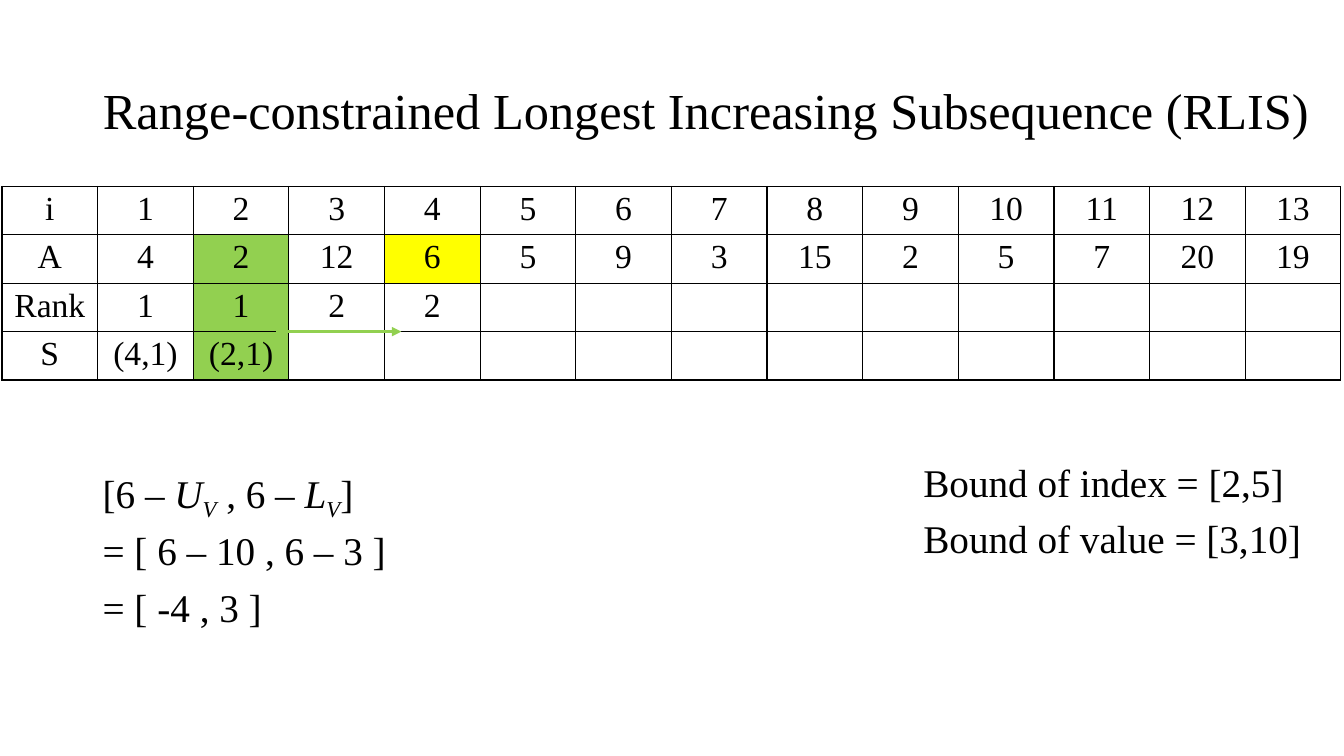
from pptx import Presentation
from pptx.util import Inches, Pt
from pptx.dml.color import RGBColor as RGB
from pptx.enum.text import PP_ALIGN as ALIGN, MSO_ANCHOR as ANCHOR
from pptx.enum.shapes import MSO_CONNECTOR as CONN
from pptx.oxml import parse_xml
from pptx.oxml.ns import nsdecls

BLACK, WHITE, GREEN, YELLOW = "000000", "FFFFFF", "92D050", "FFFF00"


def paint(color, hue):
    color.rgb = RGB.from_string(hue)


def style(par, size):
    for run in par.runs:
        run.font.name = "Times New Roman"
        run.font.size = Pt(size)
        paint(run.font.color, BLACK)


deck = Presentation()
deck.slide_width, deck.slide_height = Inches(13.33), Inches(7.5)
slide = deck.slides.add_slide(deck.slide_layouts[5])
shapes = slide.shapes

# Title
title = shapes.title
title.left, title.top = Inches(0.92), Inches(0.4)
title.width, title.height = Inches(12.31), Inches(1.45)
frame = title.text_frame
frame.text = "Range-constrained Longest Increasing Subsequence (RLIS)"
frame.vertical_anchor = ANCHOR.MIDDLE
head = frame.paragraphs[0]
head.alignment, head.line_spacing = ALIGN.LEFT, 0.9
style(head, 36)

# Notes under the table: runs marked "i" are italic, "sub" italic subscripts
notes = [
    ((0.92, 4.61, 7.5, 2.08), [
        [("[6 – ", ""), ("U", "i"), ("V", "sub"), (" , 6 – ", ""),
         ("L", "i"), ("V", "sub"), ("]", "")],
        [("= [ 6 – 10 , 6 – 3 ]", "")],
        [("= [ -4 , 3 ]", "")]]),
    ((9.06, 4.55, 4.17, 1.1), [
        [("Bound of index = [2,5]", "")],
        [("Bound of value = [3,10]", "")]]),
]
for place, lines in notes:
    frame = shapes.add_textbox(*map(Inches, place)).text_frame
    frame.word_wrap = True
    for n, line in enumerate(lines):
        par = frame.add_paragraph() if n else frame.paragraphs[0]
        par.line_spacing = 0.9
        if n:
            par.space_before = Pt(10)
        for text, mark in line:
            run = par.add_run()
            run.text = text
            if mark:
                run.font.italic = True
            if mark == "sub":
                run.font._element.set("baseline", "-25000")
        style(par, 28)

# Table of the sequence
rows = [
    ["i", *range(1, 14)],
    ["A", 4, 2, 12, 6, 5, 9, 3, 15, 2, 5, 7, 20, 19],
    ["Rank", 1, 1, 2, 2],
    ["S", "(4,1)", "(2,1)"],
]
fills = {(1, 2): GREEN, (2, 2): GREEN, (3, 2): GREEN, (1, 4): YELLOW}
count, high = len(rows[0]), 0.47
table = shapes.add_table(len(rows), count, Inches(0.02), Inches(1.85),
                         Inches(13.28), Inches(high * len(rows))).table
for r, row in enumerate(rows):
    table.rows[r].height = Inches(high)
    for c in range(count):
        cell = table.cell(r, c)
        cell.margin_top = cell.margin_bottom = Inches(0.04)
        cell.text = str(row[c]) if c < len(row) else ""
        par = cell.text_frame.paragraphs[0]
        par.alignment = ALIGN.CENTER
        par.font.size = Pt(24)
        style(par, 24)
        props = cell._tc.get_or_add_tcPr()
        for side in ("lnL", "lnR", "lnT", "lnB"):
            props.append(parse_xml(
                f'<a:{side} {nsdecls("a")} w="12700"><a:solidFill>'
                f'<a:srgbClr val="{BLACK}"/></a:solidFill></a:{side}>'))
        cell.fill.solid()
        paint(cell.fill.fore_color, fills.get((r, c), WHITE))

# Arrow from the chosen pair to the current index
arrow = shapes.add_connector(CONN.STRAIGHT, Inches(2.74), Inches(3.29),
                             Inches(3.98), Inches(3.29))
arrow.line.width = Pt(2.25)
paint(arrow.line.color, GREEN)
arrow.line._get_or_add_ln().append(
    parse_xml(f'<a:tailEnd {nsdecls("a")} type="triangle"/>'))
arrow._element.spPr.append(parse_xml(f'<a:effectLst {nsdecls("a")}/>'))

deck.save("out.pptx")
